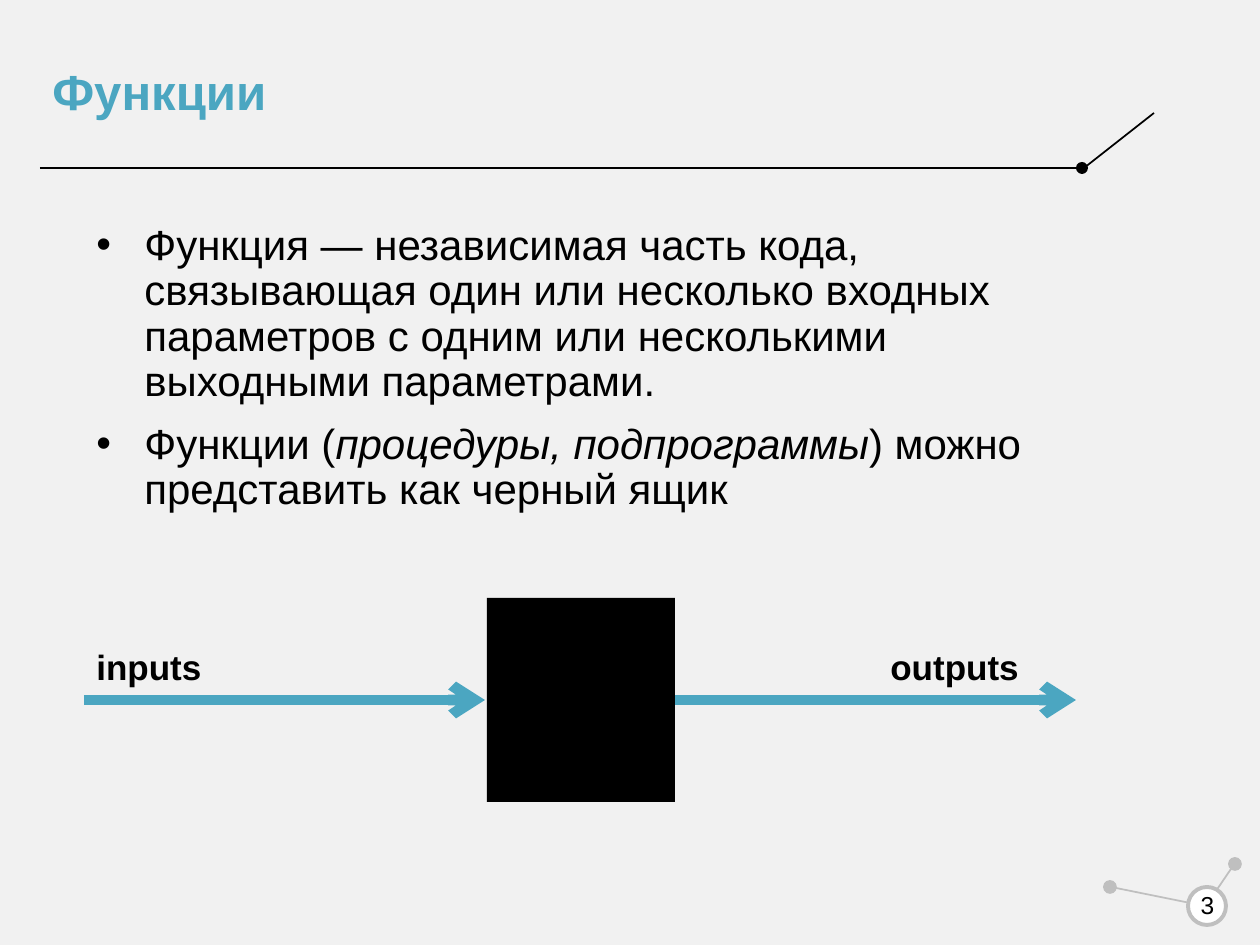
"""Builds a slide that explains functions as a black box."""
import pptx
import pptx.dml.color
import pptx.enum.shapes
import pptx.enum.text
import pptx.oxml
import pptx.oxml.ns
import pptx.util
import lxml.etree

RGBColor = pptx.dml.color.RGBColor
BLACK = RGBColor(0x00, 0x00, 0x00)
WHITE = RGBColor(0xFF, 0xFF, 0xFF)
PAPER = RGBColor(0xF1, 0xF1, 0xF1)
GRAY = RGBColor(0xBF, 0xBF, 0xBF)
TEAL = RGBColor(0x4B, 0xA6, 0xC1)
RECTANGLE = pptx.enum.shapes.MSO_SHAPE.RECTANGLE
OVAL = pptx.enum.shapes.MSO_SHAPE.OVAL
MIDDLE = pptx.enum.text.MSO_ANCHOR.MIDDLE
TOP = pptx.enum.text.MSO_ANCHOR.TOP
LEFT = pptx.enum.text.PP_ALIGN.LEFT
CENTER = pptx.enum.text.PP_ALIGN.CENTER
EMU_PER_PX = 914400 / 126
WIDTH, HEIGHT = 1260, 945


def emu(px):
    return pptx.util.Emu(round(px * EMU_PER_PX))


def append_element(parent, tag, **attributes):
    return lxml.etree.SubElement(parent, pptx.oxml.ns.qn(tag), attributes)


class SlideBuilder:
    """Holds the text style and the current slide."""

    def __init__(self, page, font="Arial"):
        self.page = page
        self.font = font

    def shape(self, kind, left, top, width, height, fill, line=None, weight=1):
        shape = self.page.shapes.add_shape(kind, *map(emu, (left, top, width, height)))
        shape.shadow.inherit = False
        shape.fill.solid()
        shape.fill.fore_color.rgb = fill
        if line is None:
            shape.line.fill.background()
        else:
            shape.line.color.rgb = line
            shape.line.width = pptx.util.Pt(weight)

    def line(self, start, end, color, weight=1, arrow=False):
        straight = pptx.enum.shapes.MSO_CONNECTOR.STRAIGHT
        connector = self.page.shapes.add_connector(straight, *map(emu, start + end))
        connector.line.color.rgb = color
        connector.line.width = pptx.util.Pt(weight)
        if arrow:
            append_element(connector.line._get_or_add_ln(), "a:tailEnd", type="arrow")
        append_element(connector._element.spPr, "a:effectLst")

    def text(self, left, top, width, height, paragraphs, size, color=BLACK,
             bold=False, anchor=MIDDLE, align=LEFT, bullet=False, **spacing):
        box = self.page.shapes.add_textbox(*map(emu, (left, top, width, height)))
        frame = box.text_frame
        frame.word_wrap = True
        frame.vertical_anchor = anchor
        for index, runs in enumerate(paragraphs):
            para = frame.add_paragraph() if index else frame.paragraphs[0]
            for name, value in {"alignment": align, **spacing}.items():
                setattr(para, name, value)
            if bullet:
                self.bullet(para)
            for words, italic in runs:
                span = para.add_run()
                span.text = words
                style = {"name": self.font, "size": pptx.util.Pt(size),
                         "bold": bold, "italic": italic}
                for name, value in style.items():
                    setattr(span.font, name, value)
                span.font.color.rgb = color

    def bullet(self, para, indent=48):
        properties = para._p.get_or_add_pPr()
        for name, value in {"marL": indent, "indent": -indent}.items():
            properties.set(name, str(emu(value)))
        append_element(properties, "a:buFont", typeface=self.font)
        append_element(properties, "a:buChar", char="•")


def main():
    deck = pptx.Presentation()
    deck.slide_width, deck.slide_height = emu(WIDTH), emu(HEIGHT)
    builder = SlideBuilder(deck.slides.add_slide(deck.slide_layouts[6]))

    builder.shape(RECTANGLE, 0, 0, WIDTH, HEIGHT, PAPER)
    builder.line((40, 168), (1076, 168), BLACK)
    builder.shape(OVAL, 1076, 162, 12, 12, BLACK)
    builder.line((1084, 168), (1154, 113), BLACK)

    for left, top, start, end in (
        (1229, 858, (1233, 866), (1216, 891)),
        (1104, 881, (1111, 887), (1200, 905)),
    ):
        builder.shape(OVAL, left, top, 12, 12, GRAY, GRAY)
        builder.line(start, end, GRAY)
    builder.shape(OVAL, 1188, 887, 38, 38, WHITE, GRAY, 2.25)

    definition = ("Функция — независимая часть кода, связывающая один или несколько "
                  "входных параметров с одним или несколькими выходными параметрами.")
    black_box = [("Функции (", False), ("процедуры, подпрограммы", True),
                 (") можно представить как черный ящик", False)]
    builder.text(84, 218, 1037, 583, [[(definition, False)], black_box], 24,
                 anchor=TOP, bullet=True, line_spacing=0.9,
                 space_before=pptx.util.Pt(10))
    builder.text(40, 35, 1036, 120, [[("Функции", False)]], 28.1, TEAL, True,
                 line_spacing=0.9)
    builder.text(1181, 880, 53, 50, [[("3", False)]], 14, align=CENTER)

    builder.shape(RECTANGLE, 487, 598, 188, 204, BLACK)
    for label, left, width, start, end in (
        ("outputs", 878, 165, 675, 1076),
        ("inputs", 84, 156, 84, 485),
    ):
        builder.line((start, 700), (end, 700), TEAL, 6, arrow=True)
        builder.text(left, 638, width, 57, [[(label, False)]], 20, bold=True)

    deck.save("out.pptx")


if __name__ == "__main__":
    main()
